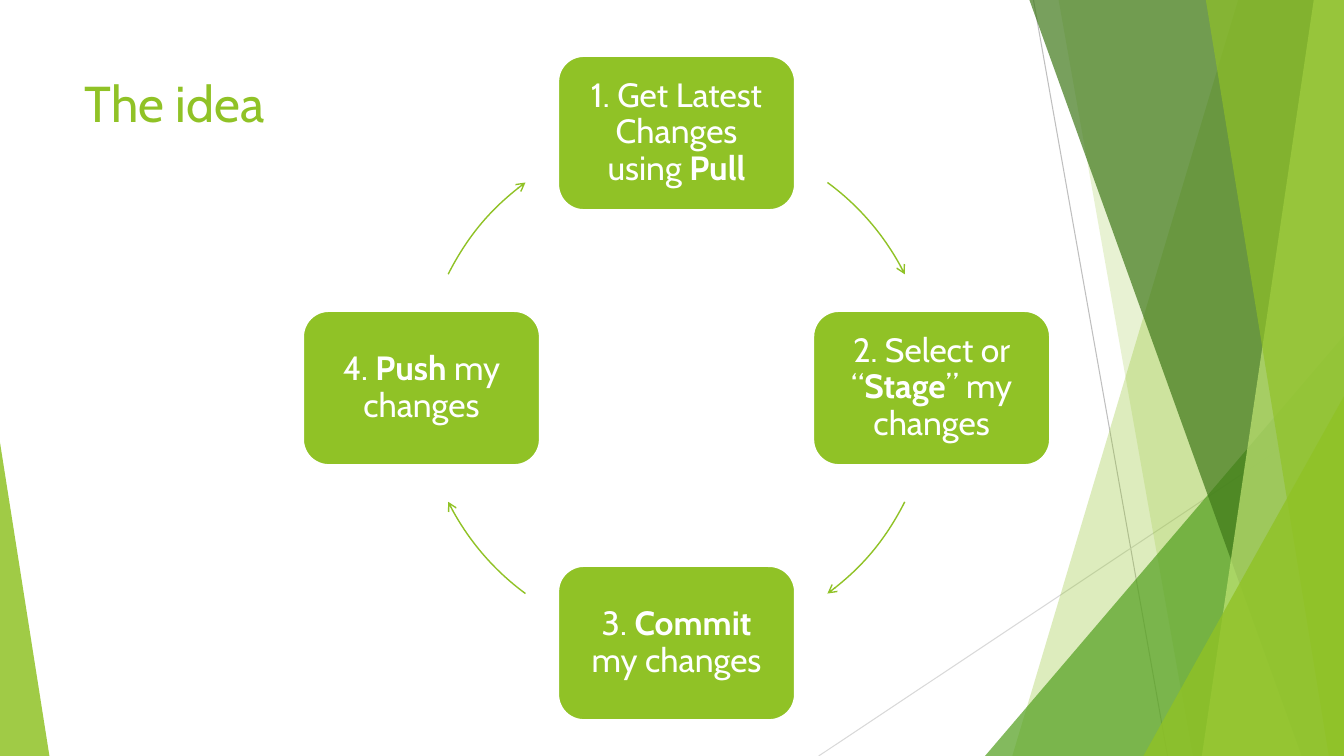
import pptx
import pptx.util
import pptx.dml.color
import pptx.enum.shapes
import pptx.enum.text
import pptx.oxml
import pptx.oxml.ns
import pptx.oxml.xmlchemy

Inches = pptx.util.Inches
Pt = pptx.util.Pt
RGB = pptx.dml.color.RGBColor.from_string
Kind = pptx.enum.shapes.MSO_SHAPE
Text = pptx.enum.text
Node = pptx.oxml.xmlchemy.OxmlElement
qn = pptx.oxml.ns.qn

HUES = {
    "lime": "90C226", "green": "54A021", "dark": "3F7819", "pale": "C0E474",
    "white": "FFFFFF", "gray": "BFBFBF", "mist": "D9D9D9",
}
FONT = "Cabin"
WIDE, HIGH = 13.33, 7.5

deck = pptx.Presentation()
deck.slide_width = Inches(WIDE)
deck.slide_height = Inches(HIGH)
slide = deck.slides.add_slide(deck.slide_layouts[6])
shapes = slide.shapes


def tint(shape, hue, alpha):
    shape.shadow.inherit = False
    shape.line.fill.background()
    shape.fill.solid()
    shape.fill.fore_color.rgb = RGB(HUES[hue])
    color = shape._element.spPr.find(qn("a:solidFill"))[0]
    clear = Node("a:alpha")
    clear.set("val", str(alpha * 1000))
    color.append(clear)


def write(para, words, size, hue, bold=False):
    run = para.add_run()
    run.text = words
    run.font.name = FONT
    run.font.size = Pt(size)
    run.font.bold = bold
    run.font.color.rgb = RGB(HUES[hue])


for x1, y1, x2, y2, hue in [
    (10.25, 0, 11.58, HIGH, "gray"),
    (WIDE, 4.03, 8.12, HIGH, "mist"),
]:
    line = shapes.add_connector(
        pptx.enum.shapes.MSO_CONNECTOR.STRAIGHT,
        Inches(x1), Inches(y1), Inches(x2), Inches(y2))
    line.line.color.rgb = RGB(HUES[hue])
    line.line.width = Pt(0.75)
    line._element.spPr.append(Node("a:effectLst"))

for form, a, b, hue, alpha in [
    ("shard", 12.28, 10.04, "lime", 30),
    ("shard", 10.5, 11.83, "lime", 20),
    ("peak", 9.77, 3.33, "green", 72),
    ("shard", 10.21, 12.91, "dark", 70),
    ("shard", 13.03, 11.92, "pale", 70),
    ("shard", 11.96, 13.18, "lime", 65),
    ("peak", 11.34, 3.93, "lime", 80),
]:
    if form == "shard":
        edge = shapes.build_freeform(Inches(a), 0)
        edge.add_line_segments(
            [(Inches(x), Inches(y)) for x, y in [(WIDE, 0), (WIDE, HIGH), (b, HIGH)]],
            close=True)
        facet = edge.convert_to_shape()
    else:
        facet = shapes.add_shape(
            Kind.ISOSCELES_TRIANGLE, Inches(a), Inches(b), Inches(WIDE - a), Inches(HIGH - b))
        facet.adjustments[0] = 1
    tint(facet, hue, alpha)

wedge = shapes.add_shape(
    Kind.ISOSCELES_TRIANGLE, 0, Inches(4.39), Inches(0.49), Inches(3.11))
wedge.adjustments[0] = 0
tint(wedge, "lime", 85)

MID_X, MID_Y, RAD = 6.71, 3.85, 2.53
BOX_W, BOX_H = 2.35, 1.53
steps = [
    (0, -1, 306.3, [("1. Get Latest Changes using ", False), ("Pull", True)]),
    (1, 0, 26.5, [("2. Select or “", False), ("Stage", True), ("” my changes", False)]),
    (0, 1, 126.3, [("3. ", False), ("Commit ", True), ("my changes", False)]),
    (-1, 0, 206.5, [("4. ", False), ("Push", True), (" my changes", False)]),
]
for dx, dy, start, runs in steps:
    box = shapes.add_shape(
        Kind.ROUNDED_RECTANGLE,
        Inches(MID_X + dx * RAD - BOX_W / 2), Inches(MID_Y + dy * RAD - BOX_H / 2),
        Inches(BOX_W), Inches(BOX_H))
    box.shadow.inherit = False
    box.fill.solid()
    box.fill.fore_color.rgb = RGB(HUES["lime"])
    box.line.color.rgb = RGB(HUES["white"])
    box.line.width = Pt(1.5)
    frame = box.text_frame
    frame.word_wrap = True
    frame.vertical_anchor = Text.MSO_ANCHOR.MIDDLE
    frame.margin_left = frame.margin_right = Inches(0.1)
    frame.margin_top = frame.margin_bottom = Inches(0.1)
    para = frame.paragraphs[0]
    para.alignment = Text.PP_ALIGN.CENTER
    para.line_spacing = 0.9
    for words, bold in runs:
        write(para, words, 24, "white", bold)

    arc = shapes.add_shape(
        Kind.ARC, Inches(MID_X - RAD), Inches(MID_Y - RAD), Inches(2 * RAD), Inches(2 * RAD))
    arc.adjustments[0] = start * 0.6
    arc.adjustments[1] = (start + 27.2) * 0.6
    arc.shadow.inherit = False
    arc.fill.background()
    arc.line.color.rgb = RGB(HUES["lime"])
    arc.line.width = Pt(1)
    tip = Node("a:tailEnd")
    tip.set("type", "arrow")
    arc._element.spPr.find(qn("a:ln")).append(tip)

title = shapes.add_textbox(Inches(0.74), Inches(0.67), Inches(9.4), Inches(1.44))
title.text_frame.word_wrap = True
write(title.text_frame.paragraphs[0], "The idea", 36, "lime")

deck.save("out.pptx")
